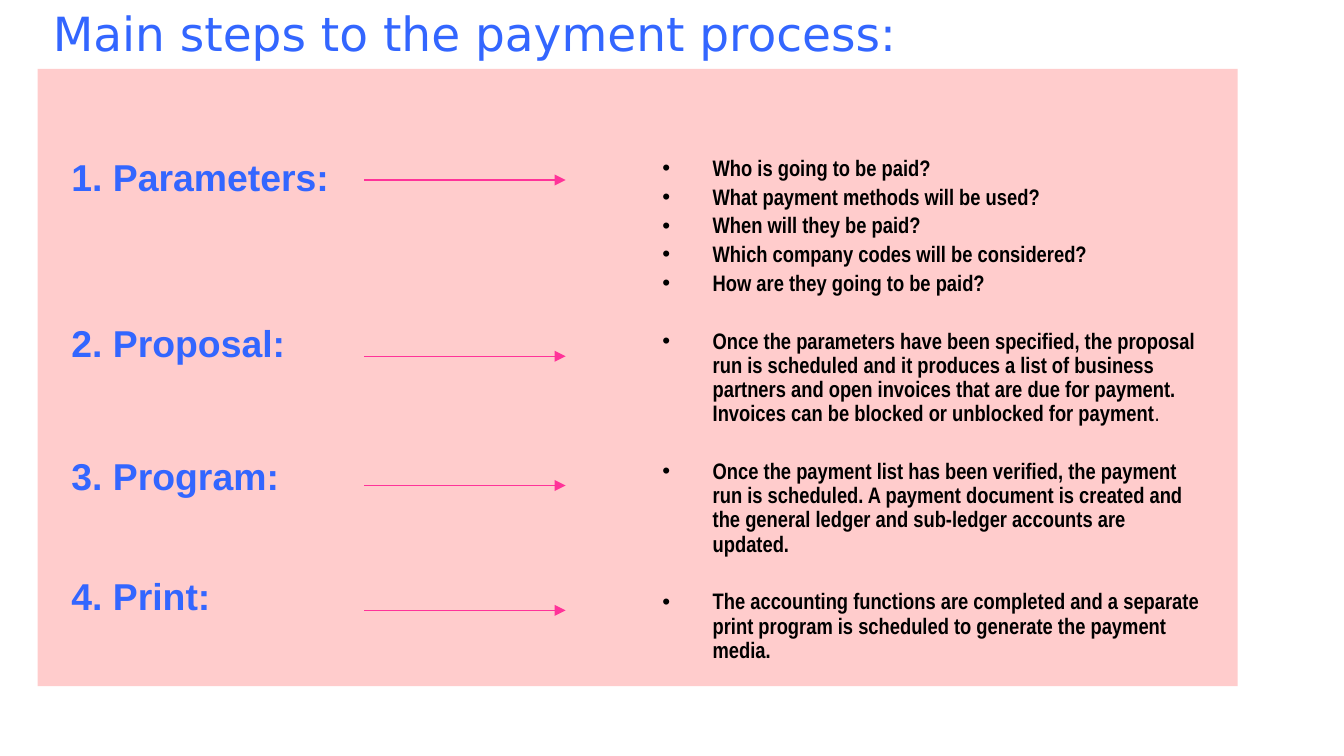
from lxml.etree import SubElement
from pptx import Presentation
from pptx.dml.color import RGBColor
from pptx.enum.shapes import MSO_CONNECTOR as LINE, MSO_SHAPE as SHAPE
from pptx.oxml.ns import qn
from pptx.util import Cm, Pt

TITLE = "Main steps to the payment process:"
# heading, space before it (pt), height of its arrow (cm), details
STEPS = [
    ("1. Parameters:", 0, 3.4, [
        "Who is going to be paid?",
        "What payment methods will be used?",
        "When will they be paid?",
        "Which company codes will be considered?",
        "How are they going to be paid?"]),
    ("2. Proposal:", 67.7, 6.73, [
        "Once the parameters have been specified, the proposal run is scheduled "
        "and it produces a list of business partners and open invoices that are "
        "due for payment. Invoices can be blocked or unblocked for payment."]),
    ("3. Program:", 49.5, 9.17, [
        "Once the payment list has been verified, the payment run is scheduled. "
        "A payment document is created and the general ledger and sub-ledger "
        "accounts are updated."]),
    ("4. Print:", 42.5, 11.53, [
        "The accounting functions are completed and a separate print program is "
        "scheduled to generate the payment media."]),
]
LIGHT_STOP = "unblocked for payment."  # its full stop is not bold

BLUE, PINK, MAGENTA, BLACK = "3366FF", "FFCCCC", "FF3399", "000000"
TITLE_FONT = dict(name="DejaVu Sans", size=Pt(25.2), bold=False, color=BLUE)
HEADING_FONT = dict(name="Arial", size=Pt(20), bold=True, color=BLUE)
DETAIL_FONT = dict(name="Arial Narrow", size=Pt(12), bold=True, color=BLACK)
ARROW_LEFT, ARROW_RIGHT = 6.88, 10.69
BULLET_INDENT = Cm(0.95)
BULLET_GAP, STEP_GAP = 2.4, 18


def rgb(color):
    return RGBColor.from_string(color)


def add_box(slide, left, top, width, height):
    tf = slide.shapes.add_textbox(Cm(left), Cm(top), Cm(width), Cm(height)).text_frame
    tf.word_wrap = True
    for side in ("left", "top", "right", "bottom"):
        setattr(tf, f"margin_{side}", 0)
    return tf


def add_run(p, text, font):
    r = p.add_run()
    r.text = text
    for key, value in font.items():
        if key == "color":
            r.font.color.rgb = rgb(value)
        else:
            setattr(r.font, key, value)


def add_paragraph(tf, text, font, before=0, bullet=False):
    first = tf.paragraphs[0]
    p = tf.add_paragraph() if first.runs else first
    p.line_spacing = 0.9
    p.space_before = Pt(before)
    if bullet:
        pPr = p._p.get_or_add_pPr()
        pPr.set("marL", str(BULLET_INDENT))
        pPr.set("indent", str(-BULLET_INDENT))
        SubElement(pPr, qn("a:buFont"), typeface="Arial")
        SubElement(pPr, qn("a:buChar"), char="•")
    if text.endswith(LIGHT_STOP):
        add_run(p, text[:-1], font)
        add_run(p, text[-1], {**font, "bold": False})
    else:
        add_run(p, text, font)


def add_arrow(slide, y):
    c = slide.shapes.add_connector(
        LINE.STRAIGHT, Cm(ARROW_LEFT), Cm(y), Cm(ARROW_RIGHT), Cm(y))
    c.line.color.rgb = rgb(MAGENTA)
    c.line.width = Pt(0.75)
    SubElement(c.line._get_or_add_ln(), qn("a:tailEnd"), type="triangle")
    SubElement(c._element.spPr, qn("a:effectLst"))


def main():
    prs = Presentation()
    prs.slide_width, prs.slide_height = Cm(25.4), Cm(14.28)
    slide = prs.slides.add_slide(prs.slide_layouts[6])

    add_paragraph(add_box(slide, 1, 0.2, 22.6, 1.1), TITLE, TITLE_FONT)

    panel = slide.shapes.add_shape(
        SHAPE.RECTANGLE, Cm(0.71), Cm(1.3), Cm(22.68), Cm(11.66))
    panel.shadow.inherit = False
    panel.fill.solid()
    panel.fill.fore_color.rgb = rgb(PINK)
    panel.line.fill.background()

    headings = add_box(slide, 1.35, 3, 5.4, 9.5)
    details = add_box(slide, 12.52, 2.97, 10.24, 9.8)
    for i, (heading, before, arrow_y, points) in enumerate(STEPS):
        add_paragraph(headings, heading, HEADING_FONT, before)
        for j, point in enumerate(points):
            gap = BULLET_GAP if j else STEP_GAP if i else 0
            add_paragraph(details, point, DETAIL_FONT, gap, bullet=True)
        add_arrow(slide, arrow_y)

    prs.save("out.pptx")


if __name__ == "__main__":
    main()
